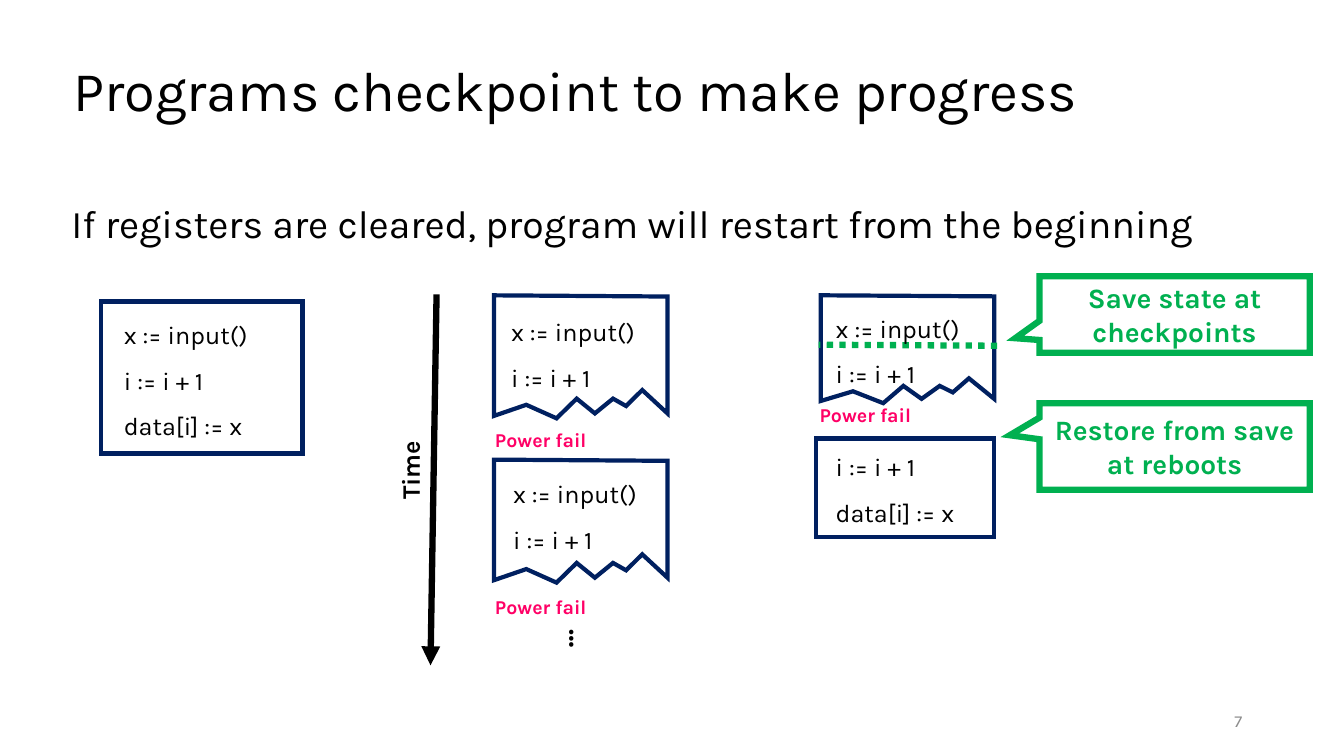
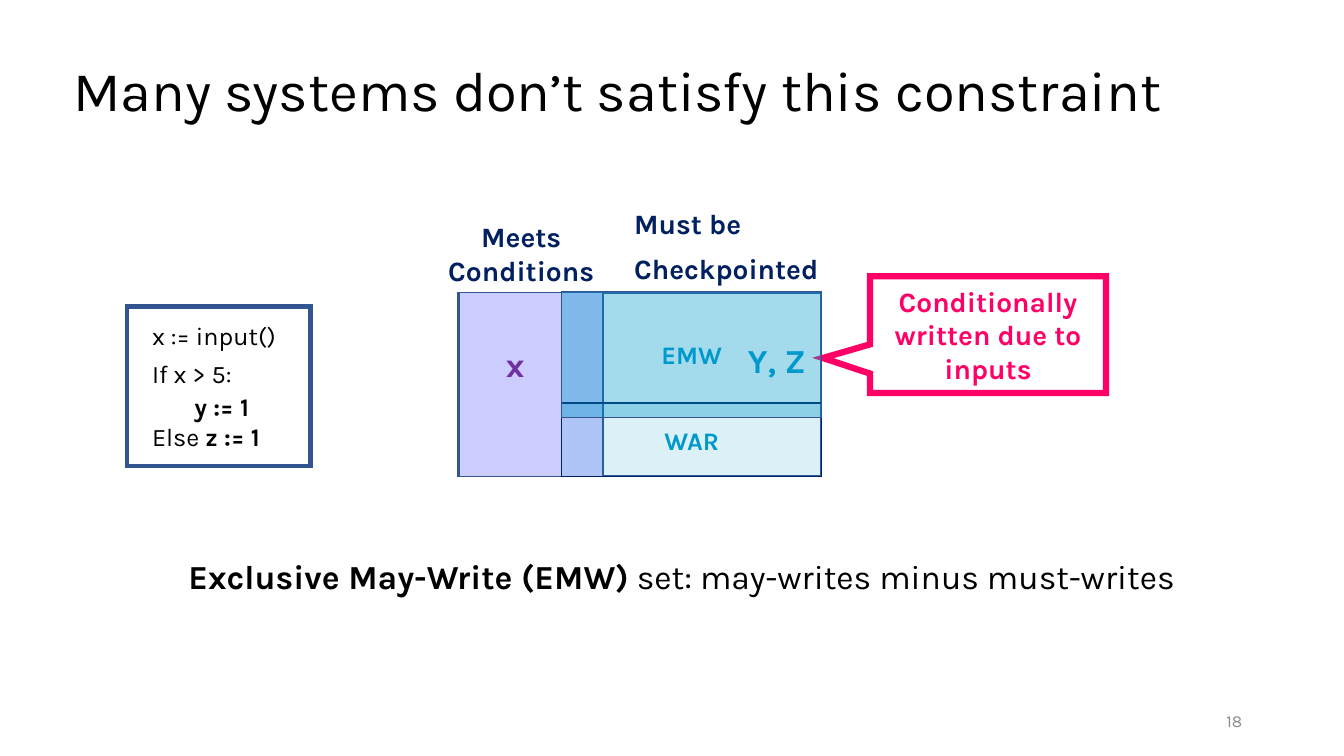
from dataclasses import dataclass, replace
from typing import Any, Optional, Sequence, Tuple, Union

import lxml.etree
import pptx
import pptx.dml.color
import pptx.enum.dml
import pptx.enum.shapes
import pptx.enum.text
import pptx.oxml.ns
import pptx.util

Inches = pptx.util.Inches
Pt = pptx.util.Pt
qn = pptx.oxml.ns.qn
Align = pptx.enum.text.PP_ALIGN
Anchor = pptx.enum.text.MSO_ANCHOR
Shape = pptx.enum.shapes.MSO_SHAPE

FONT = "Karla"
COLORS = {
    "ink": "000000",
    "paper": "FFFFFF",
    "navy": "002060",
    "blue": "325491",
    "teal": "0099CC",
    "green": "00B050",
    "pink": "FF0066",
    "lilac": "CCCCFF",
    "purple": "7030A0",
    "gray": "8C8C8C",
}


@dataclass(frozen=True)
class Box:
    left: float
    top: float
    width: float
    height: float

    def lengths(self) -> Tuple[int, ...]:
        return tuple(Inches(n) for n in (self.left, self.top, self.width, self.height))


@dataclass(frozen=True)
class Style:
    size: float
    color: str = "ink"
    bold: bool = False
    align: Any = Align.LEFT
    anchor: Any = Anchor.TOP
    leading: float = 1.0


@dataclass(frozen=True)
class Span:
    text: str
    bold: bool = False


@dataclass(frozen=True)
class Para:
    spans: Sequence[Span]
    before: float = 0
    indent: float = 0


@dataclass(frozen=True)
class Outline:
    color: str
    width: float


Content = Sequence[Union[str, Para]]

TITLE = Style(40, anchor=Anchor.MIDDLE, leading=0.9)
NUMBER = Style(12, "gray", align=Align.RIGHT, anchor=Anchor.MIDDLE)
CODE = Style(18, leading=1.5)
FAIL = Style(14, "pink", bold=True)
HEADING = Style(20, "navy", bold=True)
CENTERED = Style(20, bold=True, align=Align.CENTER, anchor=Anchor.MIDDLE)
REGION = replace(CENTERED, size=18, color="teal")
FRAME = Outline("navy", 3)

# Horizontal offset in inches and vertical share of the height.
TORN_EDGE = (
    (0, 0.98), (0, 0), (1.72, 0.01), (1.72, 0.96), (1.47, 0.77), (1.31, 0.9),
    (1.18, 0.84), (1, 0.96), (0.82, 0.84), (0.62, 1), (0.32, 0.89),
)


def rgb(name: str) -> pptx.dml.color.RGBColor:
    return pptx.dml.color.RGBColor.from_string(COLORS[name])


def write(frame: Any, content: Content, style: Style) -> None:
    frame.word_wrap = True
    frame.vertical_anchor = style.anchor
    for index, item in enumerate(content):
        source = Para([Span(item, style.bold)]) if isinstance(item, str) else item
        para = frame.paragraphs[0] if index == 0 else frame.add_paragraph()
        para.alignment = style.align
        para.line_spacing = style.leading
        para.space_before = Pt(source.before)
        if source.indent:
            para._p.get_or_add_pPr().set("marL", str(Inches(source.indent)))
        for part in source.spans:
            span = para.add_run()
            span.text = part.text
            span.font.name = FONT
            span.font.size = Pt(style.size)
            span.font.bold = part.bold
            span.font.color.rgb = rgb(style.color)


def add_text(page: Any, box: Box, content: Content, style: Style, rotation: float = 0) -> None:
    label = page.shapes.add_textbox(*box.lengths())
    label.rotation = rotation
    write(label.text_frame, content, style)


def paint(shape: Any, fill: str, outline: Outline, opacity: Optional[int] = None) -> None:
    """Fill a shape, opacity in percent, and give it a sharp-cornered outline."""
    shape.shadow.inherit = False
    shape.fill.solid()
    shape.fill.fore_color.rgb = rgb(fill)
    shape.line.color.rgb = rgb(outline.color)
    shape.line.width = Pt(outline.width)
    properties = shape.element.spPr
    miter = lxml.etree.SubElement(properties.find(qn("a:ln")), qn("a:miter"))
    miter.set("lim", "800000")
    if opacity is not None:
        color = properties.find(qn("a:solidFill")).find(qn("a:srgbClr"))
        lxml.etree.SubElement(color, qn("a:alpha")).set("val", str(opacity * 1000))


def add_rect(page: Any, box: Box, outline: Outline, fill: str = "paper",
             opacity: Optional[int] = None, label: str = "") -> None:
    rect = page.shapes.add_shape(Shape.RECTANGLE, *box.lengths())
    paint(rect, fill, outline, opacity)
    if label:
        write(rect.text_frame, [label], REGION)


def add_callout(page: Any, box: Box, tip: Tuple[float, float], text: str, color: str) -> None:
    """Draw a callout whose tip is offset from its centre in shares of its size."""
    callout = page.shapes.add_shape(Shape.RECTANGULAR_CALLOUT, *box.lengths())
    for index, offset in enumerate(tip):
        callout.adjustments[index] = offset
    paint(callout, "paper", Outline(color, 4.5))
    write(callout.text_frame, [text], replace(CENTERED, color=color))


def add_torn_page(page: Any, left: float, top: float, height: float) -> None:
    points = [(Inches(left + x), Inches(top + share * height)) for x, share in TORN_EDGE]
    builder = page.shapes.build_freeform(*points[0])
    builder.add_line_segments(points[1:], close=True)
    paint(builder.convert_to_shape(), "paper", FRAME)


def add_line(page: Any, start: Tuple[float, float], end: Tuple[float, float], color: str,
             dash: Any = None, arrow: bool = False) -> None:
    ends = [Inches(n) for n in (*start, *end)]
    line = page.shapes.add_connector(pptx.enum.shapes.MSO_CONNECTOR.STRAIGHT, *ends)
    line.line.color.rgb = rgb(color)
    line.line.width = Pt(4.5)
    if dash is not None:
        line.line.dash_style = dash
    properties = line.element.spPr
    if arrow:
        lxml.etree.SubElement(properties.find(qn("a:ln")), qn("a:tailEnd")).set("type", "triangle")
    lxml.etree.SubElement(properties, qn("a:effectLst"))


def add_page(deck: Any, title: str, number: int) -> Any:
    page = deck.slides.add_slide(deck.slide_layouts[6])
    add_text(page, Box(0.63, 0.2, 12.67, 1.45), [title], TITLE)
    add_text(page, Box(9.42, 6.95, 3, 0.4), [str(number)], NUMBER)
    return page


def build_checkpoint_page(deck: Any) -> None:
    page = add_page(deck, "Programs checkpoint to make progress", 7)
    add_text(page, Box(0.61, 1.98, 12.7, 1.03),
             ["If registers are cleared, program will restart from the beginning"],
             Style(28, leading=0.9))

    program = ["x := input()", "i := i + 1", "data[i] := x"]
    add_rect(page, Box(1, 2.99, 2, 1.51), FRAME)
    add_text(page, Box(1.13, 2.97, 1.7, 1.41), program, CODE)

    add_line(page, (4.33, 2.92), (4.27, 6.6), "ink", arrow=True)
    add_text(page, Box(3.31, 4.1, 1.51, 0.4), ["Time"], Style(18, bold=True), rotation=270)

    add_torn_page(page, 8.14, 2.93, 1.07)
    add_line(page, (9.89, 3.43), (8.12, 3.42), "green",
             dash=pptx.enum.dml.MSO_LINE.ROUND_DOT)
    for top in (2.93, 4.56):
        add_torn_page(page, 4.9, top, 1.22)
    for left, top in ((4.97, 2.94), (4.99, 4.55), (8.19, 2.91)):
        add_text(page, Box(left, top, 2.01, 0.95), program[:2], CODE)
    for left, top in ((4.81, 4.2), (4.81, 5.85), (8.03, 3.95)):
        add_text(page, Box(left, top, 1.51, 0.34), ["Power fail"], FAIL)
    add_text(page, Box(5.47, 6.21, 0.57, 0.44), ["…"], Style(20, bold=True), rotation=90)

    add_rect(page, Box(8.09, 4.35, 1.77, 0.98), FRAME)
    add_text(page, Box(8.19, 4.28, 1.61, 0.95), program[1:], CODE)
    add_callout(page, Box(10.31, 2.74, 2.68, 0.76), (-0.59, 0.31),
                "Save state at checkpoints", "green")
    add_callout(page, Box(10.31, 4, 2.68, 0.86), (-0.61, -0.13),
                "Restore from save at reboots", "green")


def build_constraint_page(deck: Any) -> None:
    page = add_page(deck, "Many systems don’t satisfy this constraint", 18)
    add_text(page, Box(1.77, 5.51, 10, 0.77), [
        Para([Span("Exclusive May-Write (EMW)", bold=True),
              Span(" set: may-writes minus must-writes")]),
    ], Style(24, leading=0.9))

    add_rect(page, Box(4.54, 2.91, 3.6, 1.81), Outline("blue", 1.5))
    add_rect(page, Box(4.56, 2.9, 1.42, 1.83), Outline("blue", 1), "lilac")
    add_rect(page, Box(5.57, 4, 2.58, 0.73), Outline("navy", 1), "teal", 14, "WAR")
    add_callout(page, Box(8.63, 2.74, 2.34, 1.16), (-0.7, 0.2),
                "Conditionally written due to inputs", "pink")
    add_rect(page, Box(5.57, 2.89, 2.58, 1.25), Outline("blue", 1), "teal", 36, "EMW")
    add_text(page, Box(4.92, 3.36, 0.48, 0.5), ["x"], Style(24, "purple", bold=True))
    add_text(page, Box(7.32, 3.32, 0.91, 0.5), ["Y, Z"], Style(24, "teal", bold=True))

    add_text(page, Box(6.19, 2.04, 2.11, 0.95), [
        "Must be", Para([Span("Checkpointed", bold=True)], before=10),
    ], replace(HEADING, leading=0.9))
    add_text(page, Box(4.23, 2.13, 1.88, 0.77), ["Meets Conditions"],
             replace(HEADING, align=Align.CENTER))

    add_rect(page, Box(1.26, 3.04, 1.82, 1.58), Outline("blue", 3))
    add_text(page, Box(1.41, 3.13, 1.66, 1.4), [
        "x := input()",
        Para([Span("If x > 5:")], before=5.5),
        Para([Span("y := 1", bold=True)], before=2, indent=0.42),
        Para([Span("Else "), Span("z := 1", bold=True)]),
    ], Style(18))


def main() -> None:
    deck = pptx.Presentation()
    deck.slide_width = Inches(13.33)
    deck.slide_height = Inches(7.5)
    build_checkpoint_page(deck)
    build_constraint_page(deck)
    deck.save("out.pptx")


if __name__ == "__main__":
    main()
